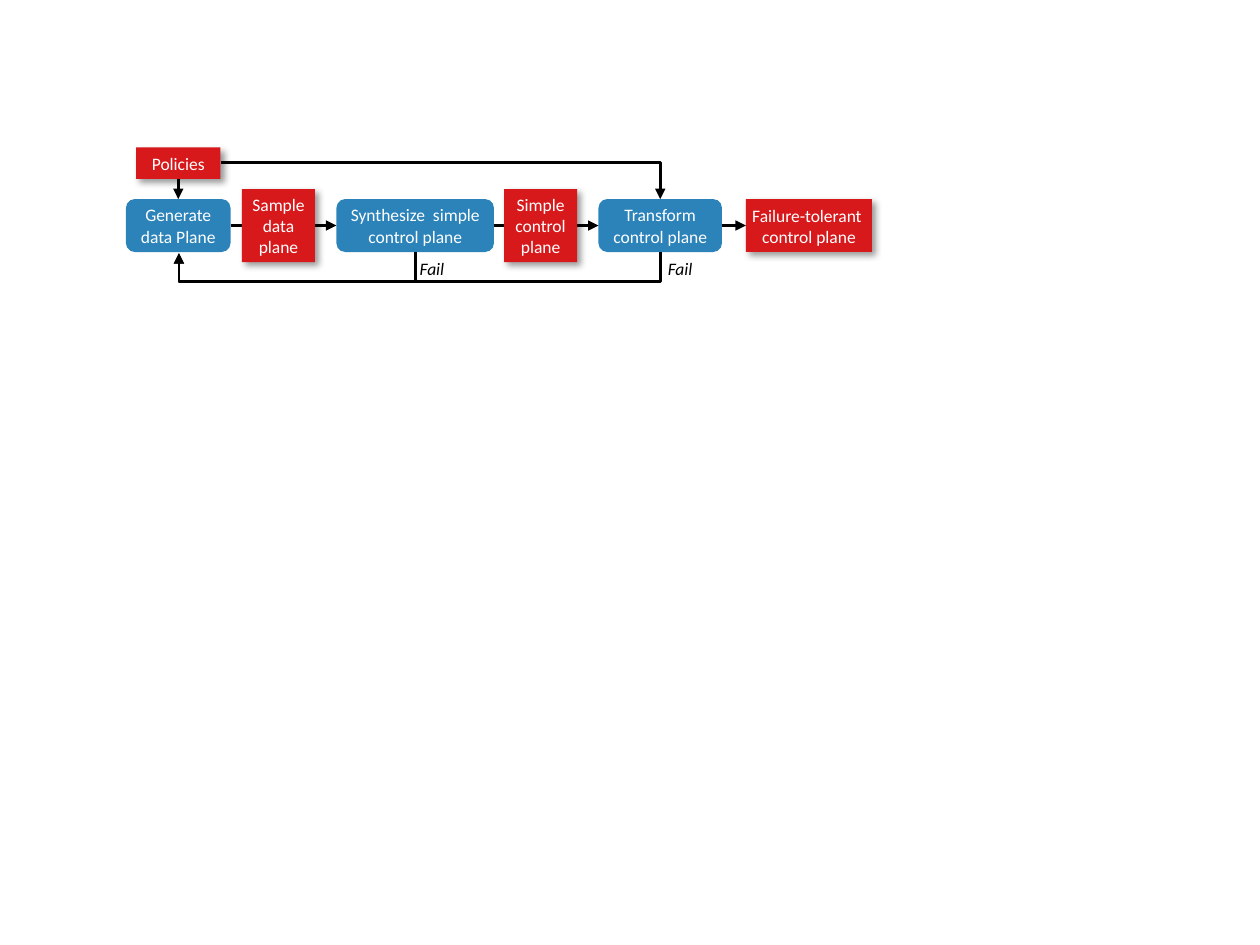
import dataclasses
import pptx
import pptx.dml.color
import pptx.enum.shapes
import pptx.enum.text
import pptx.oxml
import pptx.oxml.ns
import pptx.util
from pptx.util import Inches

SHAPE = pptx.enum.shapes.MSO_SHAPE
CONNECTOR = pptx.enum.shapes.MSO_CONNECTOR
ALIGN = pptx.enum.text.PP_ALIGN
qn = pptx.oxml.ns.qn
TOP, LEFT, BOTTOM, RIGHT = range(4)


@dataclasses.dataclass(frozen=True)
class Theme:
    step: str = "2B83BA"
    artifact: str = "D7191C"
    light: str = "FFFFFF"
    ink: str = "000000"
    font: str = "Calibri"
    size: float = 10
    line: float = 1.5
    inset: float = 0.05


class Diagram:
    def __init__(self, page, theme):
        self.page = page
        self.theme = theme

    def color(self, value):
        return pptx.dml.color.RGBColor.from_string(value)

    def add_xml(self, parent, xml):
        namespace = pptx.oxml.ns.nsdecls("a")
        parent.append(pptx.oxml.parse_xml(xml.replace(" ", f" {namespace} ", 1)))

    def set_text(self, box, text, color, align, italic=False):
        frame = box.text_frame
        frame.margin_left = frame.margin_right = Inches(self.theme.inset)
        frame.margin_top = frame.margin_bottom = Inches(self.theme.inset)
        frame.text = text
        for para in frame.paragraphs:
            para.alignment = align
            for span in para.runs:
                span.font.name = self.theme.font
                span.font.size = pptx.util.Pt(self.theme.size)
                span.font.color.rgb = self.color(color)
                span.font.italic = italic

    def block(self, kind, fill, text, left, top, width, height):
        box = self.page.shapes.add_shape(
            kind, Inches(left), Inches(top), Inches(width), Inches(height))
        box.shadow.inherit = False
        box.fill.solid()
        box.fill.fore_color.rgb = self.color(fill)
        box.line.fill.background()
        self.set_text(box, text, self.theme.light, ALIGN.CENTER)
        box.text_frame.word_wrap = True
        box.text_frame.vertical_anchor = pptx.enum.text.MSO_ANCHOR.MIDDLE
        return box

    def step(self, text, left, width):
        return self.block(SHAPE.ROUNDED_RECTANGLE, self.theme.step,
                          text, left, 1.58, width, 0.42)

    def artifact(self, text, left, top, width, height):
        box = self.block(SHAPE.RECTANGLE, self.theme.artifact, text, left, top, width, height)
        effects = box._element.spPr.find(qn("a:effectLst"))
        self.add_xml(effects, '<a:outerShdw blurRad="50800" dist="38100" dir="2700000" '
                     f'algn="tl" rotWithShape="0"><a:srgbClr val="{self.theme.ink}">'
                     '<a:alpha val="40000"/></a:srgbClr></a:outerShdw>')
        return box

    def label(self, text, left, top, width, height):
        box = self.page.shapes.add_textbox(
            Inches(left), Inches(top), Inches(width), Inches(height))
        self.set_text(box, text, self.theme.ink, ALIGN.LEFT, italic=True)
        box.text_frame.word_wrap = False
        box.text_frame.auto_size = pptx.enum.text.MSO_AUTO_SIZE.SHAPE_TO_FIT_TEXT

    def connector(self, kind, left, top, right, bottom):
        line = self.page.shapes.add_connector(
            kind, Inches(left), Inches(top), Inches(right), Inches(bottom))
        line.line.color.rgb = self.color(self.theme.ink)
        line.line.width = pptx.util.Pt(self.theme.line)
        properties = line._element.spPr
        self.add_xml(properties.find(qn("a:ln")), '<a:tailEnd type="triangle"/>')
        self.add_xml(properties, '<a:effectLst />')
        return line

    def arrow(self, source, source_site, target, target_site):
        line = self.connector(CONNECTOR.STRAIGHT, 0, 0, 1, 1)
        line.begin_connect(source, source_site)
        line.end_connect(target, target_site)

    def corner_arrow(self, left, top, right, bottom):
        line = self.connector(CONNECTOR.ELBOW, left, top, right, bottom)
        line._element.spPr.find(qn("a:prstGeom")).set("prst", "bentConnector2")

    def return_arrow(self, start, end, top, bottom, lane):
        middle_x, middle_y = (start + end) / 2, (top + bottom) / 2
        half_width, half_height = (bottom - top) / 2, (start - end) / 2
        line = self.connector(CONNECTOR.ELBOW,
                              middle_x - half_width, middle_y - half_height,
                              middle_x + half_width, middle_y + half_height)
        properties = line._element.spPr
        properties.find(qn("a:xfrm")).set("rot", "5400000")
        geometry = properties.find(qn("a:prstGeom"))
        for guides in geometry.findall(qn("a:avLst")):
            geometry.remove(guides)
        bend = round((lane - top) / (bottom - top) * 100000)
        self.add_xml(geometry, f'<a:avLst ><a:gd name="adj1" fmla="val {bend}"/></a:avLst>')


deck = pptx.Presentation()
deck.slide_width, deck.slide_height = Inches(10), Inches(7.5)
page = deck.slides.add_slide(deck.slide_layouts[6])
diagram = Diagram(page, Theme())

generate = diagram.step("Generate data Plane", 1, 0.83)
synthesize = diagram.step("Synthesize  simple control plane", 2.67, 1.25)
transform = diagram.step("Transform control plane", 4.75, 0.98)

for fail_x, label_left in ((5.24, 5.25), (3.3, 3.28)):
    diagram.return_arrow(fail_x, 1.42, 2, 2.01, 2.24)
    diagram.label("Fail", label_left, 2, 0.3, 0.27)

policies = diagram.artifact("Policies", 1.08, 1.17, 0.67, 0.25)
result = diagram.artifact("Failure-tolerant \vcontrol plane", 5.92, 1.58, 1, 0.42)

for source, target in ((generate, synthesize), (synthesize, transform), (transform, result)):
    diagram.arrow(source, RIGHT, target, LEFT)
diagram.arrow(policies, BOTTOM, generate, TOP)
diagram.corner_arrow(1.75, 1.29, 5.24, 1.58)

for text, left in (("Sample data\nplane", 1.92), ("Simple control plane", 4)):
    diagram.artifact(text, left, 1.5, 0.58, 0.58)

deck.save("out.pptx")
